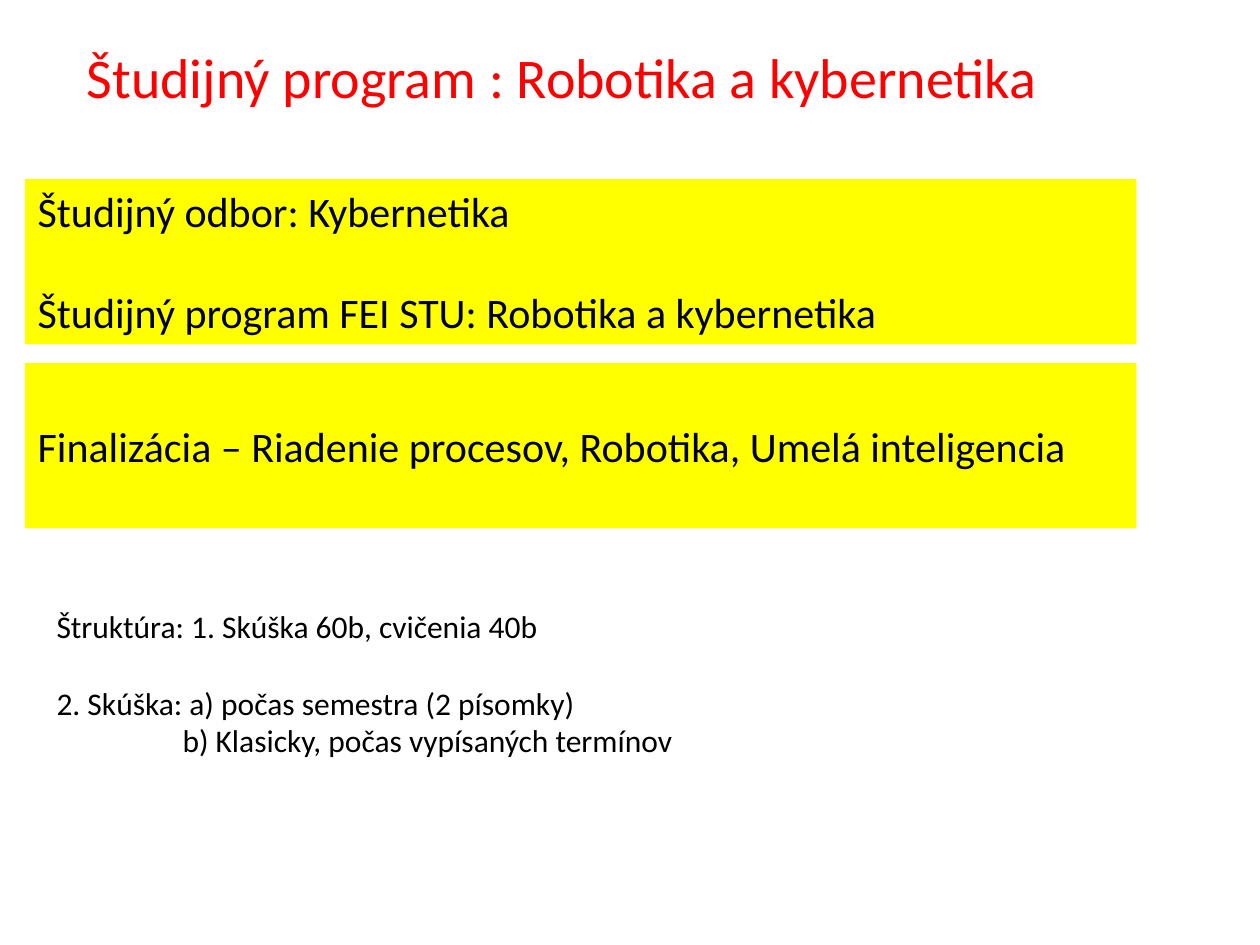
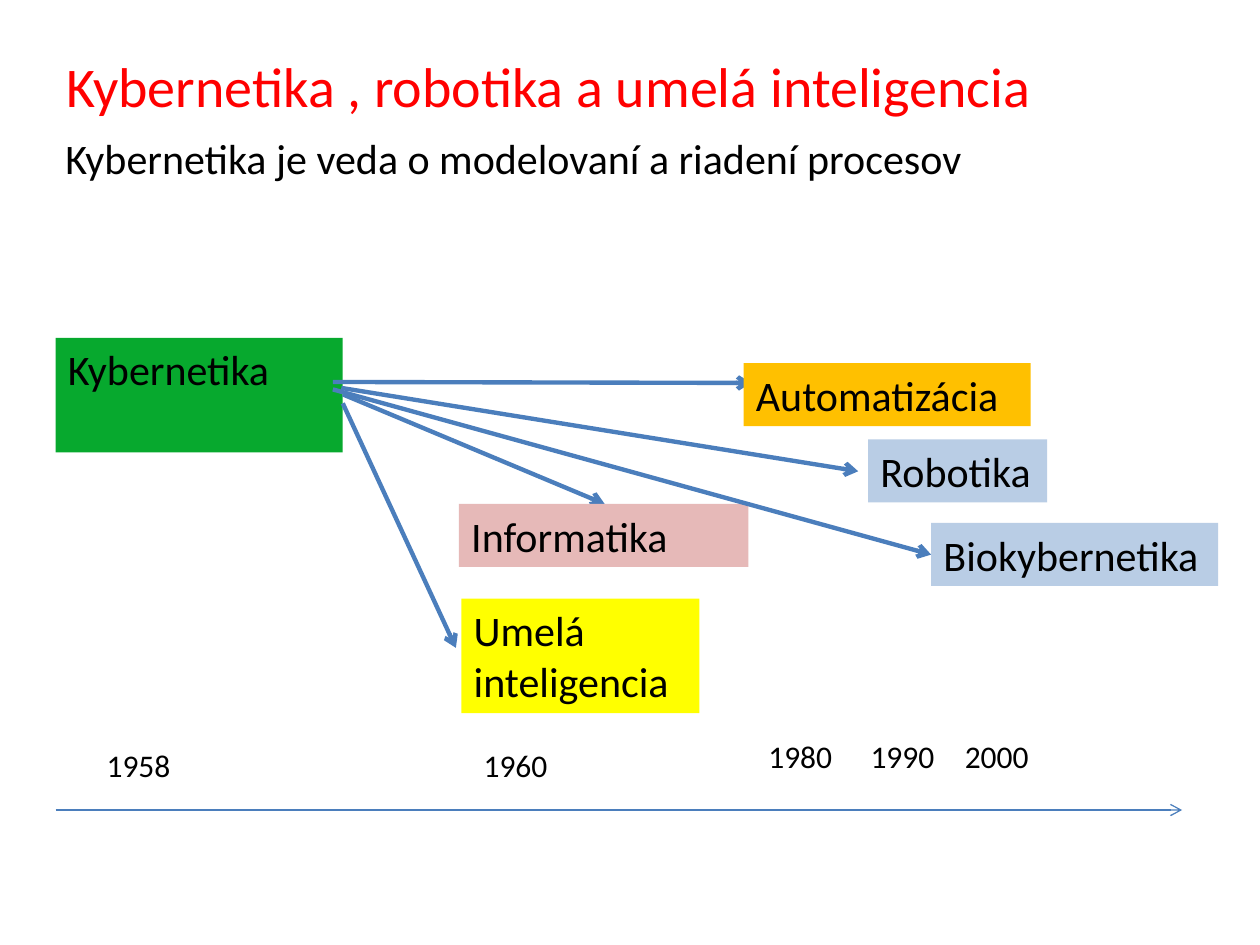
"""Build two slides about the study of robotics and cybernetics."""
from lxml.etree import SubElement
from pptx import Presentation
from pptx.dml.color import RGBColor
from pptx.enum.shapes import MSO_CONNECTOR
from pptx.enum.text import MSO_ANCHOR
from pptx.oxml.ns import qn
from pptx.util import Cm, Pt

FONT = "Calibri"
BLACK, RED, YELLOW, GREEN = "000000", "FF0000", "FFFF00", "07A92E"
PINK, ORANGE, PALE_BLUE, ARROW_BLUE = "E6B9B8", "FFC000", "B9CDE5", "4B7EBC"
TITLE_SIZE, BODY_SIZE, SMALL_SIZE = 32, 24, 18
LINE_HEIGHT = 1.22
BOX_HEIGHT, TALL_HEIGHT, PANEL_HEIGHT = 1.27, 2.31, 3.33


def color(value):
    """Turn a hex string into a colour."""
    return RGBColor.from_string(value)


def add_text(slide, lines, box, size=BODY_SIZE, text_color=BLACK, fill=None):
    """Add a text box with one paragraph per line and return its text frame."""
    shape = slide.shapes.add_textbox(*map(Cm, box))
    if fill:
        shape.fill.solid()
        shape.fill.fore_color.rgb = color(fill)
    frame = shape.text_frame
    frame.word_wrap = True
    frame.text = "\n".join(lines)
    for paragraph in frame.paragraphs:
        paragraph.font.name = FONT
        paragraph.font.size = Pt(size)
        paragraph.font.color.rgb = color(text_color)
    return frame


def add_title(slide, text, left, top):
    """Add the red slide title."""
    add_text(slide, [text], (left, top, 22.2, 1.63), TITLE_SIZE, RED)


def add_arrow(slide, start, end, width=2.5):
    """Add a straight line with an open arrowhead at its end."""
    connector = slide.shapes.add_connector(
        MSO_CONNECTOR.STRAIGHT, *map(Cm, start + end))
    connector.line.color.rgb = color(ARROW_BLUE)
    connector.line.width = Pt(width)
    SubElement(connector.line._get_or_add_ln(), qn("a:tailEnd"), type="arrow")
    SubElement(connector._element.spPr, qn("a:effectLst"))


def skip_line(paragraph, size):
    """Leave the height of one text line above a paragraph."""
    paragraph.space_before = Pt(size * LINE_HEIGHT)


def build_program_slide(slide):
    """Show the study programme and the structure of the course."""
    add_title(slide, "Študijný program : Robotika a kybernetika", 1.5, 0.74)
    panel_left, panel_width = 0.51, 22.4
    program = add_text(
        slide,
        ["Študijný odbor: Kybernetika",
         "Študijný program FEI STU: Robotika a kybernetika"],
        (panel_left, 3.61, panel_width, PANEL_HEIGHT), fill=YELLOW)
    skip_line(program.paragraphs[1], BODY_SIZE)
    specialisation = add_text(
        slide, ["Finalizácia – Riadenie procesov, Robotika, Umelá inteligencia"],
        (panel_left, 7.32, panel_width, PANEL_HEIGHT), fill=YELLOW)
    specialisation.vertical_anchor = MSO_ANCHOR.MIDDLE
    structure = add_text(
        slide,
        ["Štruktúra: 1. Skúška 60b, cvičenia 40b",
         "2. Skúška: a) počas semestra (2 písomky)",
         "b) Klasicky, počas vypísaných termínov"],
        (0.89, 12.12, 23.01, PANEL_HEIGHT), SMALL_SIZE)
    skip_line(structure.paragraphs[1], SMALL_SIZE)
    structure.paragraphs[2]._p.get_or_add_pPr().set("marL", str(Cm(2.54)))


def build_history_slide(slide):
    """Show the fields that grew out of cybernetics above a time axis."""
    add_title(slide, "Kybernetika , robotika a umelá inteligencia", 1.09, 0.91)
    add_text(slide, ["Kybernetika je veda o modelovaní a riadení procesov"],
             (1.07, 2.54, 22.81, BOX_HEIGHT))
    add_text(slide, ["Kybernetika"], (1.12, 6.81, 5.79, TALL_HEIGHT), fill=GREEN)

    branches = [
        ("Informatika", (9.25, 10.16, 5.84, BOX_HEIGHT), PINK,
         (6.91, 7.95), (12.19, 10.16)),
        ("Umelá inteligencia", (9.3, 12.07, 4.8, TALL_HEIGHT), YELLOW,
         (6.91, 8.13), (9.19, 13.06)),
        ("Automatizácia", (14.99, 7.32, 5.79, BOX_HEIGHT), ORANGE,
         (6.71, 7.7), (15.14, 7.72)),
        ("Robotika", (17.5, 8.86, 3.61, BOX_HEIGHT), PALE_BLUE,
         (6.88, 7.82), (17.3, 9.5)),
        ("Biokybernetika", (18.77, 10.54, 5.79, BOX_HEIGHT), PALE_BLUE,
         (6.71, 7.85), (18.77, 11.18)),
    ]
    for name, box, fill, start, end in branches:
        add_arrow(slide, start, end)
        add_text(slide, [name], box, fill=fill)

    years = [("1958", 1.9, 14.91), ("1960", 9.5, 14.91), ("1980", 15.24, 14.73),
             ("1990", 17.3, 14.73), ("2000", 19.2, 14.73)]
    for year, left, top in years:
        add_text(slide, [year], (left, top, 2.39, 1.02), SMALL_SIZE)
    add_arrow(slide, (1.12, 16.33), (23.83, 16.33), 0.75)


def main():
    """Build and save the presentation."""
    presentation = Presentation()
    presentation.slide_width, presentation.slide_height = Cm(25.4), Cm(19.05)
    blank = presentation.slide_layouts[6]
    for build in (build_program_slide, build_history_slide):
        build(presentation.slides.add_slide(blank))
    presentation.save("out.pptx")


if __name__ == "__main__":
    main()
